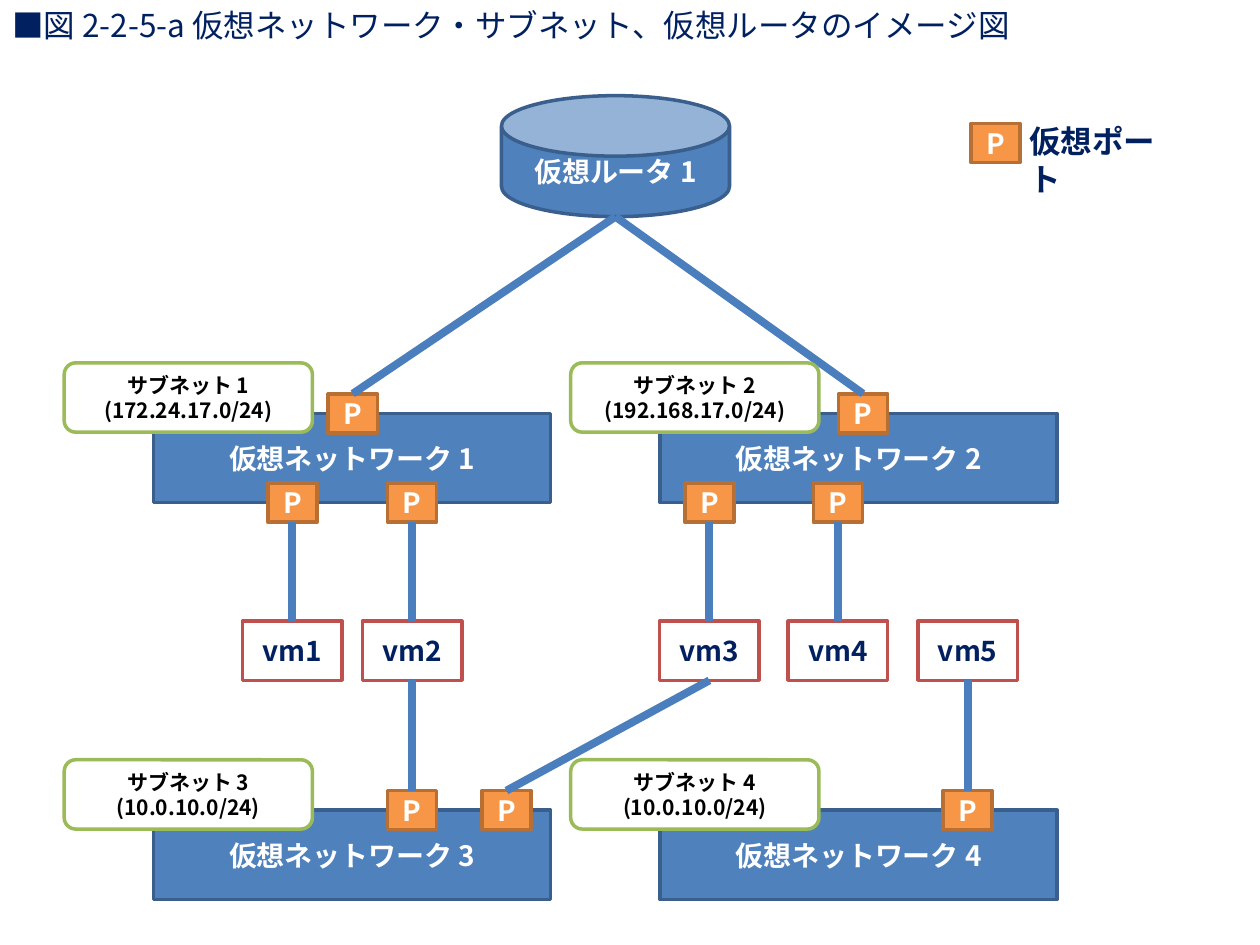
"""Build the slide on virtual networks, subnets and the virtual router."""
from lxml.etree import SubElement
from pptx import Presentation
from pptx.dml.color import RGBColor
from pptx.enum.shapes import MSO_CONNECTOR, MSO_SHAPE as Shape
from pptx.enum.text import MSO_ANCHOR as Anchor, PP_ALIGN as Align
from pptx.oxml.ns import qn
from pptx.util import Inches, Pt

FONT = "Noto Sans CJK JP"
COLORS = {
    "navy": "002060", "black": "000000", "white": "FFFFFF",
    "blue": "4F81BD", "blue_edge": "3A5F8C", "link": "4B7EBC",
    "orange": "F79646", "orange_edge": "B76F34",
    "green": "9BBB59", "red": "C0504D",
}
STYLES = {
    "network": (Shape.RECTANGLE, "blue", "blue_edge", "white", 16),
    "router": (Shape.CAN, "blue", "blue_edge", "white", 16),
    "port": (Shape.RECTANGLE, "orange", "orange_edge", "white", 16),
    "subnet": (Shape.ROUNDED_RECTANGLE, "white", "green", "black", 12),
    "vm": (Shape.RECTANGLE, "white", "red", "navy", 16),
}

TITLE = "■図 2-2-5-a 仮想ネットワーク・サブネット、仮想ルータのイメージ図"
LEGEND = "仮想ポート"
ROUTER = "仮想ルータ 1"
SUBNETS = ["172.24.17.0/24", "192.168.17.0/24", "10.0.10.0/24", "10.0.10.0/24"]
VMS = {"vm1": 2.32, "vm2": 3.27, "vm3": 5.63, "vm4": 6.65, "vm5": 7.68}
ROUTER_PORTS = [2.8, 6.85]
UPPER_VMS = ["vm1", "vm2", "vm3", "vm4"]
LOWER_PORTS = [("vm2", 3.27), ("vm3", 4.02), ("vm5", 7.68)]

COLUMNS, ROWS = (1.22, 5.24), (3.28, 6.43)
NETWORK_WIDTH, NETWORK_HEIGHT = 3.15, 0.71
PORT_WIDTH, PORT_HEIGHT = 0.39, 0.31
VM_WIDTH, VM_HEIGHT, VM_TOP = 0.79, 0.47, 4.93
ROUTER_BOX = (3.98, 0.76, 1.81, 0.96)
TOP, BOTTOM = 0, 2

deck = Presentation()
deck.slide_width, deck.slide_height = Inches(10), Inches(7.5)
slide = deck.slides.add_slide(deck.slide_layouts[6])


def color(name):
    return RGBColor.from_string(COLORS[name])


def write(box, lines, size, ink, bold=True, align=Align.CENTER):
    frame = box.text_frame
    frame.word_wrap = True
    frame.text = "\n".join(lines)
    for para in frame.paragraphs:
        para.alignment = align
        font = para.font
        font.name, font.size, font.bold = FONT, Pt(size), bold
        font.color.rgb = color(ink)
        defaults = para._p.pPr.find(qn("a:defRPr"))
        SubElement(defaults, qn("a:ea")).set("typeface", FONT)


def add_label(text, bounds, bold):
    box = slide.shapes.add_textbox(*map(Inches, bounds))
    write(box, [text], 18, "navy", bold, Align.LEFT)


def add_box(style, lines, left, top, width, height):
    preset, fill, edge, ink, size = STYLES[style]
    box = slide.shapes.add_shape(preset, *map(Inches, (left, top, width, height)))
    box.shadow.inherit = False
    box.fill.solid()
    box.fill.fore_color.rgb = color(fill)
    box.line.color.rgb = color(edge)
    box.line.width = Pt(2)
    box.text_frame.vertical_anchor = Anchor.MIDDLE
    write(box, lines, size, ink)
    return box


def add_port(center, top):
    return add_box("port", ["P"], center - PORT_WIDTH / 2, top, PORT_WIDTH, PORT_HEIGHT)


def add_link(port, port_side, start=None, start_side=BOTTOM):
    left, top, width, height = map(Inches, ROUTER_BOX)
    x, y = left + width // 2, top + height
    link = slide.shapes.add_connector(MSO_CONNECTOR.STRAIGHT, x, y, x, y)
    if start is not None:
        link.begin_connect(start, start_side)
    link.end_connect(port, port_side)
    link.line.color.rgb = color("link")
    link.line.width = Pt(4.5)
    SubElement(link._element.spPr, qn("a:effectLst"))


add_label(TITLE, (0, 0, 9.25, 0.4), False)
add_label(LEGEND, (8.07, 0.92, 1.33, 0.4), True)
add_port(7.9, 0.98)

cells = [(left, top) for top in ROWS for left in COLUMNS]
for number, (left, top) in enumerate(cells, 1):
    add_box("network", [f"仮想ネットワーク {number}"], left, top, NETWORK_WIDTH, NETWORK_HEIGHT)

router = add_box("router", [ROUTER], *ROUTER_BOX)
router.adjustments[0] = 0.5
for center in ROUTER_PORTS:
    add_link(add_port(center, ROWS[0] - PORT_HEIGHT / 2), TOP)

for number, ((left, top), address) in enumerate(zip(cells, SUBNETS), 1):
    add_box("subnet", [f"サブネット {number}", f"({address})"], left - 0.71, top - 0.4, 1.97, 0.55)

machines = {
    name: add_box("vm", [name], center - VM_WIDTH / 2, VM_TOP, VM_WIDTH, VM_HEIGHT)
    for name, center in VMS.items()
}
for name in UPPER_VMS:
    port = add_port(VMS[name], ROWS[0] + NETWORK_HEIGHT - PORT_HEIGHT / 2)
    add_link(port, BOTTOM, machines[name], TOP)
for name, center in LOWER_PORTS:
    add_link(add_port(center, ROWS[1] - PORT_HEIGHT / 2), TOP, machines[name])

deck.save("out.pptx")
